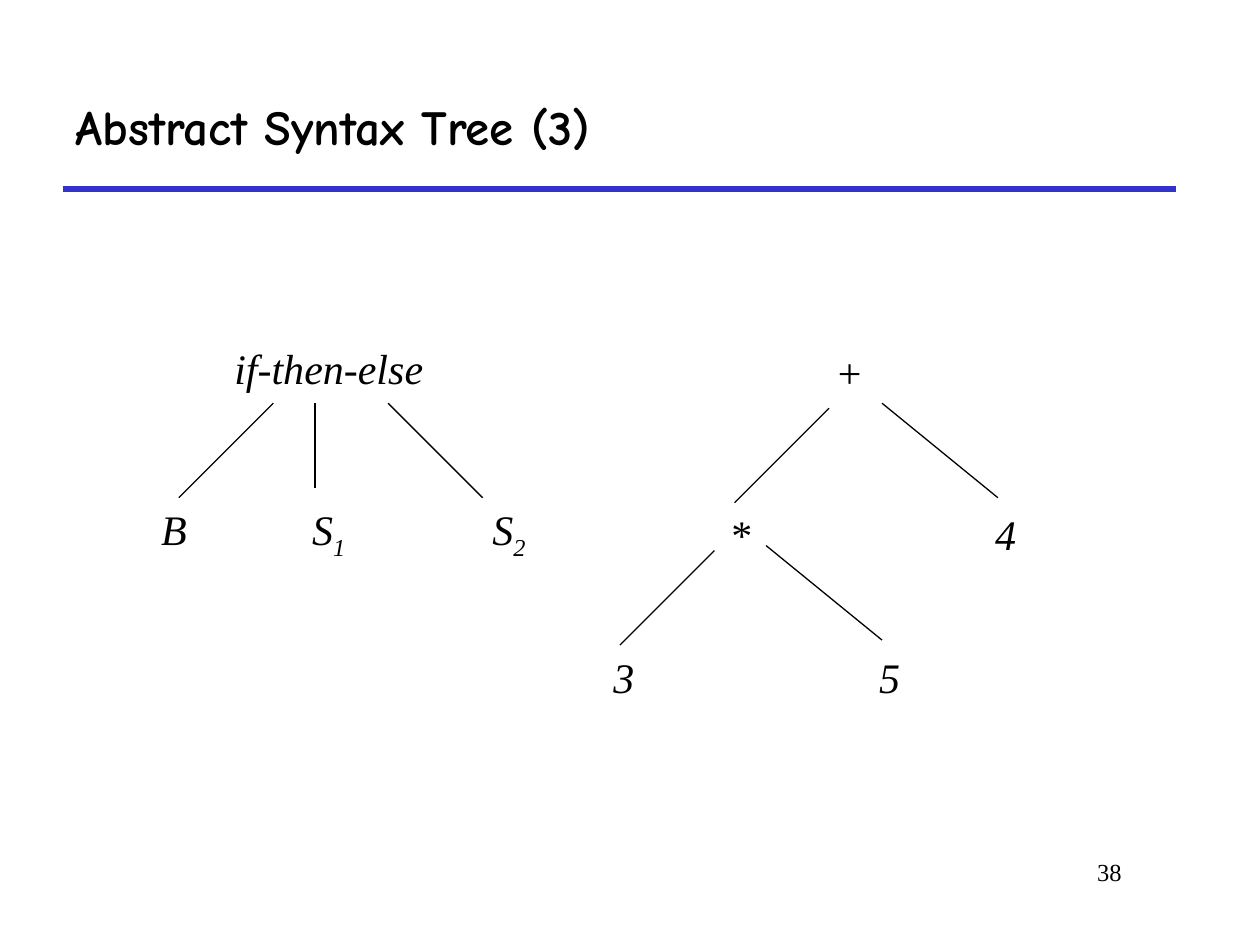
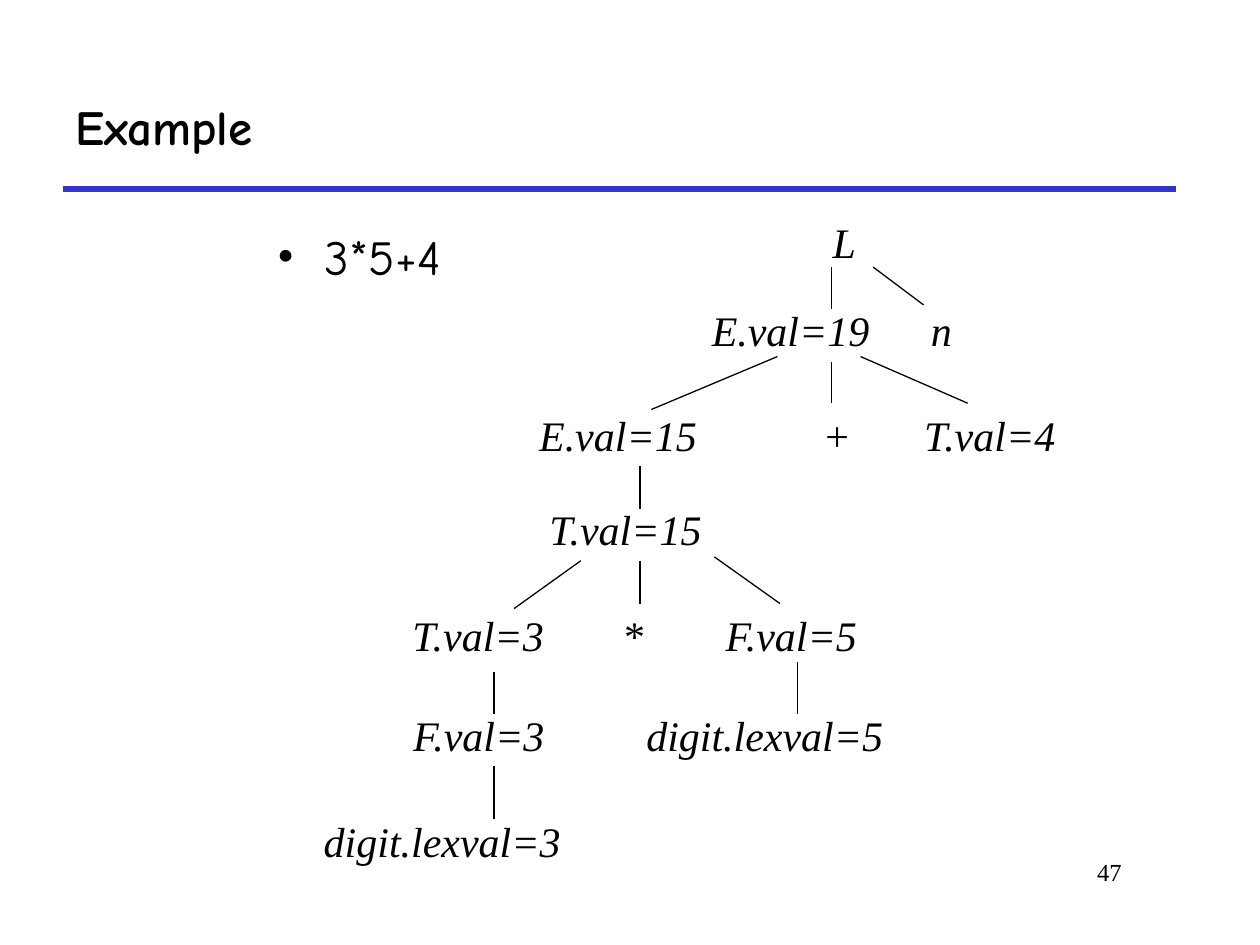
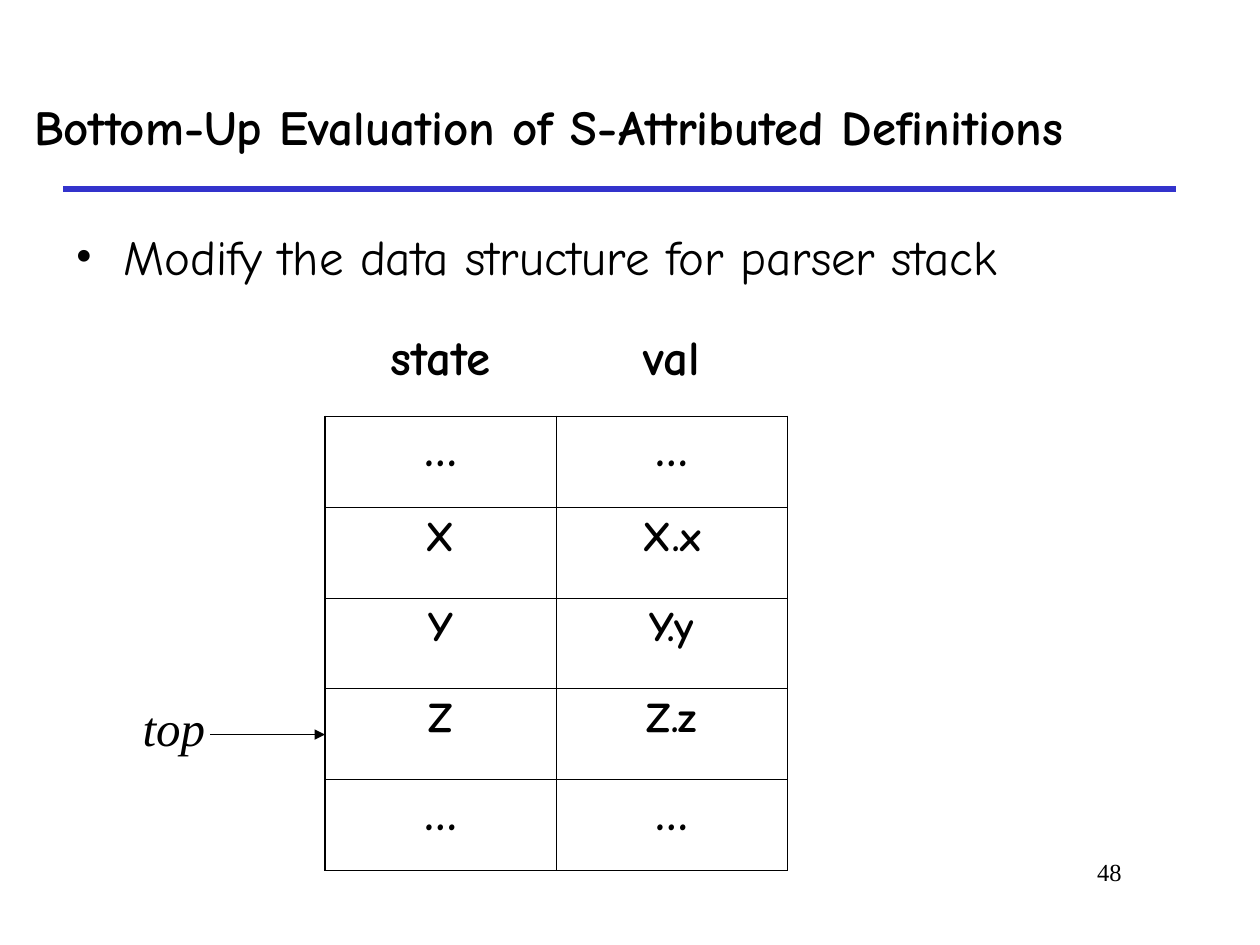
from pptx import Presentation
from pptx.dml.color import RGBColor
from pptx.enum.shapes import MSO_CONNECTOR
from pptx.enum.text import MSO_ANCHOR, MSO_AUTO_SIZE, PP_ALIGN
from pptx.oxml.ns import qn
from pptx.util import Inches, Pt
from lxml.etree import SubElement

BLACK = RGBColor(0, 0, 0)
BLUE = RGBColor(0x33, 0x33, 0xCC)
SANS = "Comic Neue"
SERIF = "Times New Roman"
THIN, EDGE = 0.45, 1.08


def add_run(para, text, size, face, bold=False, italic=False):
    run = para.add_run()
    run.text = text
    font = run.font
    font.size, font.name = Pt(size), face
    font.bold, font.italic = bold, italic
    font.color.rgb = BLACK
    return run


def add_line(slide, x1, y1, x2, y2, color=BLACK, width=0.75, arrow=False):
    line = slide.shapes.add_connector(
        MSO_CONNECTOR.STRAIGHT, Inches(x1), Inches(y1), Inches(x2), Inches(y2))
    line.line.color.rgb = color
    line.line.width = Pt(width)
    props = line._element.spPr
    if arrow:
        SubElement(props.get_or_add_ln(), qn("a:tailEnd"), type="triangle")
    SubElement(props, qn("a:effectLst"))


def add_box(slide, left, top, width, height, align=PP_ALIGN.LEFT, wrap=True):
    box = slide.shapes.add_textbox(
        Inches(left), Inches(top), Inches(width), Inches(height))
    frame = box.text_frame
    frame.word_wrap = wrap
    if not wrap:
        frame.auto_size = MSO_AUTO_SIZE.SHAPE_TO_FIT_TEXT
    para = frame.paragraphs[0]
    para.alignment = align
    return para


def add_label(slide, text, left, top, width, size=24, height=0.5):
    """Italic label; the part after an underscore is set as a subscript."""
    base, _, sub = text.partition("_")
    para = add_box(slide, left, top, width, 0.56 if sub else height,
                   PP_ALIGN.CENTER, wrap=False)
    add_run(para, base, size, SERIF, italic=True)
    if sub:
        run = add_run(para, sub, size, SERIF, italic=True)
        run._r.get_or_add_rPr().set("baseline", "-25000")


def add_tree(slide, rows, links):
    for top, nodes in rows:
        for text, left, width in nodes:
            add_label(slide, text, left, top, width)
    for link in links:
        add_line(slide, *link)


def add_bullet(slide, text, left, width):
    para = add_box(slide, left, 1.75, width, 0.67)
    props = para._p.get_or_add_pPr()
    props.set("marL", str(Inches(0.38)))
    props.set("indent", str(-Inches(0.38)))
    tint = SubElement(props, qn("a:buClr"))
    SubElement(tint, qn("a:srgbClr"), val=str(BLACK))
    SubElement(props, qn("a:buFont"), typeface=SERIF)
    SubElement(props, qn("a:buChar"), char="•")
    add_run(para, text, 28, SANS)


def set_edge(cell, side, width):
    props = cell._tc.get_or_add_tcPr()
    edge = SubElement(props, qn("a:ln" + side), w=str(Pt(width)))
    if width:
        fill = SubElement(edge, qn("a:solidFill"))
        SubElement(fill, qn("a:srgbClr"), val=str(BLACK))
    else:
        SubElement(edge, qn("a:noFill"))


def add_stack(slide, rows):
    """Stack table: a header without a frame above a framed grid."""
    count = len(rows)
    table = slide.shapes.add_table(
        count, 2, Inches(2.58), Inches(2.58), Inches(3.67), Inches(4.33)).table
    table.first_row = table.horz_banding = False
    for r, row in enumerate(rows):
        table.rows[r].height = Inches(4.33 / count)
        for c, text in enumerate(row):
            cell = table.cell(r, c)
            head = r == 0
            sides = {
                "L": 0 if head else (EDGE, THIN)[c],
                "R": 0 if head else (THIN, EDGE)[c],
                "T": 0 if head else THIN,
                "B": EDGE if r == count - 1 else THIN,
            }
            for side, width in sides.items():
                set_edge(cell, side, width)
            cell.fill.background()
            para = cell.text_frame.paragraphs[0]
            para.alignment = PP_ALIGN.CENTER
            size = 28 if head or text == "…" else 24
            add_run(para, text, size, SANS, bold=True)


def add_slide(deck, title, number, left=0.5, width=8.83):
    """Slide with the shared title, rule and page number."""
    slide = deck.slides.add_slide(deck.slide_layouts[5])
    add_line(slide, 0.5, 1.5, 9.33, 1.5, BLUE, 3)
    para = add_box(slide, 6.92, 6.75, 2.08, 0.5, PP_ALIGN.RIGHT)
    add_run(para, str(number), 14, SERIF)
    head = slide.shapes.title
    head.left, head.top = Inches(left), Inches(0.5)
    head.width, head.height = Inches(width), Inches(1)
    frame = head.text_frame
    frame.auto_size = MSO_AUTO_SIZE.NONE
    frame.vertical_anchor = MSO_ANCHOR.MIDDLE
    para = frame.paragraphs[0]
    para.alignment = PP_ALIGN.LEFT
    add_run(para, title, 28, SANS, bold=True)
    return slide


def main():
    deck = Presentation()
    deck.slide_width, deck.slide_height = Inches(10), Inches(7.5)

    # Abstract syntax trees
    slide = add_slide(deck, "Abstract Syntax Tree (3)", 38)
    add_tree(slide, [
        (2.67, [("if-then-else", 1.76, 1.7)]),
        (3.95, [("B", 1.18, 0.4), ("S_1", 2.38, 0.46), ("S_2", 3.81, 0.46)]),
    ], [
        (2.17, 3.2, 1.42, 3.95),
        (2.5, 3.2, 2.5, 3.87),
        (3.08, 3.2, 3.83, 3.95),
    ])
    add_tree(slide, [
        (2.7, [("+", 6.53, 0.42)]),
        (3.99, [("*", 5.69, 0.36), ("4", 7.8, 0.36)]),
        (5.12, [("3", 4.77, 0.36), ("5", 6.88, 0.36)]),
    ], [
        (6.58, 3.24, 5.83, 3.99),
        (7, 3.2, 7.92, 3.95),
        (5.67, 4.37, 4.92, 5.12),
        (6.08, 4.33, 7, 5.08),
    ])

    # Annotated parse tree
    slide = add_slide(deck, "Example", 47)
    add_bullet(slide, "3*5+4", 2.1, 2.58)
    add_tree(slide, [
        (1.67, [("L", 6.51, 0.38)]),
        (2.37, [("E.val=19", 5.55, 1.45), ("n", 7.29, 0.36)]),
        (3.2, [("E.val=15", 4.18, 1.45), ("+", 6.43, 0.42),
               ("T.val=4", 7.22, 1.27)]),
        (3.95, [("T.val=15", 4.25, 1.43)]),
        (4.79, [("T.val=3", 3.16, 1.27), ("*", 4.84, 0.36),
                ("F.val=5", 5.64, 1.28)]),
        (5.58, [("F.val=3", 3.16, 1.28), ("digit.lexval=5", 5.03, 2.08)]),
        (6.42, [("digit.lexval=3", 2.47, 2.08)]),
    ], [
        (6.6, 2.12, 6.6, 2.45),
        (6.93, 2.12, 7.33, 2.42),
        (6.17, 2.83, 5.17, 3.25),
        (6.6, 2.87, 6.6, 3.2),
        (6.83, 2.83, 7.68, 3.2),
        (5.08, 3.7, 5.08, 4.04),
        (4.61, 4.45, 4.08, 4.83),
        (5.08, 4.45, 5.08, 4.79),
        (5.67, 4.42, 6.19, 4.79),
        (3.92, 5.33, 3.92, 5.67),
        (3.92, 6.08, 3.92, 6.5),
        (6.33, 5.25, 6.33, 5.67),
    ])

    # Parser stack
    slide = add_slide(deck, "Bottom-Up Evaluation of S-Attributed Definitions",
                      48, 0.17, 9.75)
    add_bullet(slide, "Modify the data structure for parser stack", 0.5, 9.08)
    add_stack(slide, [
        ("state", "val"),
        ("…", "…"),
        ("X", "X.x"),
        ("Y", "Y.y"),
        ("Z", "Z.z"),
        ("…", "…"),
    ])
    add_label(slide, "top", 0.98, 5.49, 0.8, 28, 0.57)
    add_line(slide, 1.67, 5.83, 2.58, 5.83, arrow=True)

    deck.save("out.pptx")


if __name__ == "__main__":
    main()
